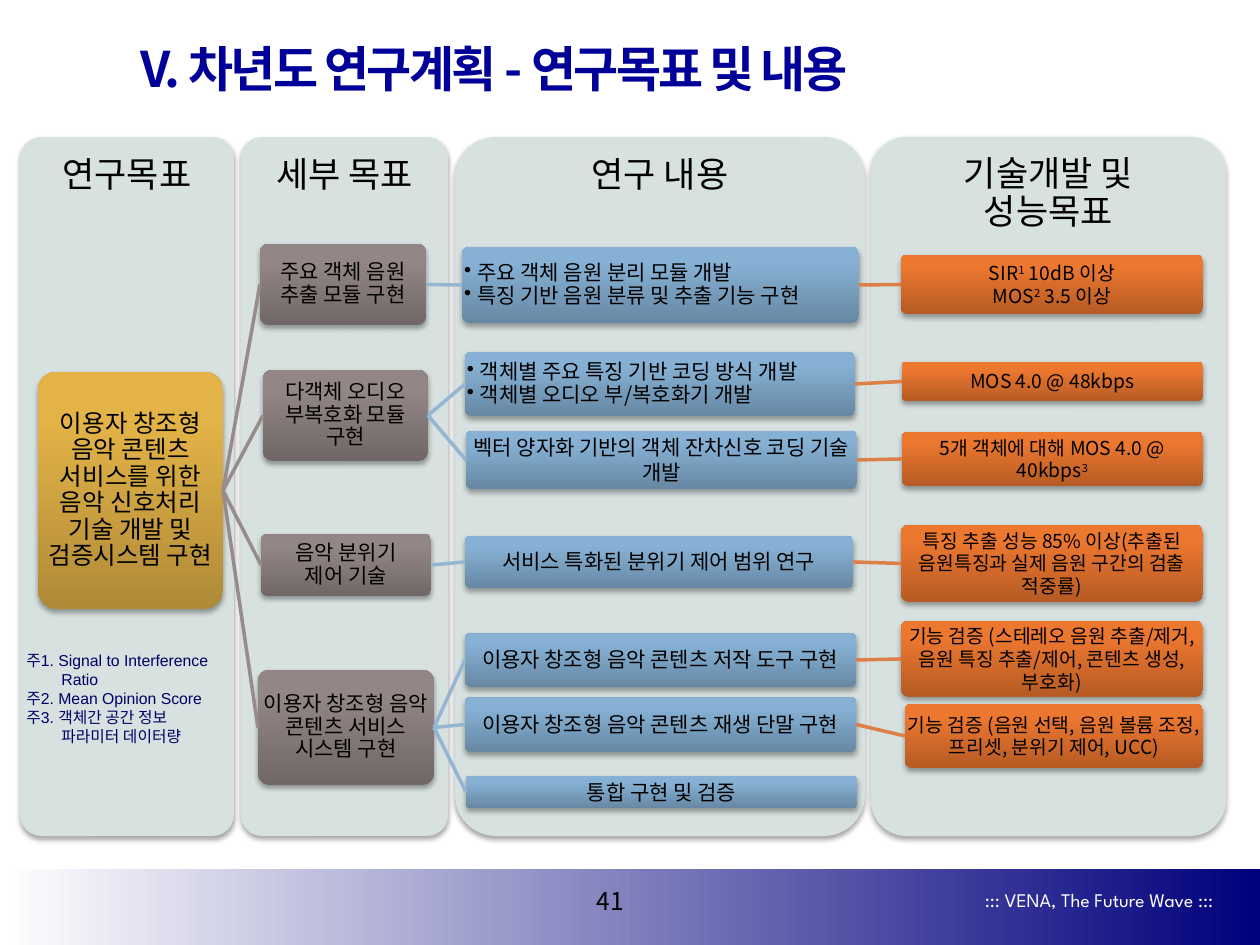
from dataclasses import dataclass

from lxml import etree
from pptx import Presentation
from pptx import util as u
from pptx.dml.color import RGBColor
from pptx.enum import shapes, text
from pptx.oxml import ns

PX = 914400 // 126
ALIGN = text.PP_ALIGN
ANCHOR = text.MSO_ANCHOR


@dataclass(frozen=True)
class TextStyle:
    size: int
    color: str = "000000"
    font: str = "Noto Sans CJK KR"
    align: ALIGN = ALIGN.CENTER
    spacing: object = None
    bold: bool = False
    tracking: int = 0
    hanging: int = 0
    bullet: bool = False


@dataclass(frozen=True)
class Theme:
    east_asian = "Noto Sans CJK KR"
    panel_fill = "D7E1DF"
    footer = ("FFFFFF", "00007C")
    aim_fill = ("AF8A37", "E3B347")
    goal_fill = ("716767", "938686")
    work_fill = ("6788A4", "86B1D4")
    target_fill = ("B65B24", "EC772F")
    goal_line = "968C8C"
    work_line = "94B6D2"
    target_line = "DD8047"
    title = TextStyle(28, "000099", align=ALIGN.LEFT, bold=True, tracking=-150)
    heading = TextStyle(20, font="Arial", spacing=0.9)
    aim = TextStyle(14, font="Arial", spacing=0.9)
    goal = TextStyle(12, spacing=0.9)
    goal_latin = TextStyle(12, font="Arial", spacing=0.9)
    work = TextStyle(12, spacing=u.Pt(14))
    work_list = TextStyle(12, align=ALIGN.JUSTIFY, spacing=0.9, hanging=13, bullet=True)
    target = TextStyle(11, spacing=u.Pt(13))
    note = TextStyle(9, "000066", "Arial", ALIGN.LEFT, hanging=35)
    page = TextStyle(14)
    slogan = TextStyle(11, "FFFFFF", "League Spartan", ALIGN.RIGHT)


class PlanSlide:
    def __init__(self, deck, theme):
        self.theme = theme
        self.slide = deck.slides.add_slide(deck.slide_layouts[5])

    def fill_text(self, frame, paragraphs, style):
        for index, content in enumerate(paragraphs):
            paragraph = frame.paragraphs[0] if index == 0 else frame.add_paragraph()
            self.style_paragraph(paragraph, style)
            for part_no, part in enumerate(content.split("^")):
                for line_no, line in enumerate(part.split("\n")):
                    if line_no:
                        paragraph.add_line_break()
                    if line:
                        run = paragraph.add_run()
                        run.text = line
                        if part_no % 2:
                            run._r.get_or_add_rPr().set("baseline", "30000")

    def style_paragraph(self, paragraph, style):
        properties = paragraph._p.get_or_add_pPr()
        if style.hanging:
            properties.set("marL", str(style.hanging * PX))
            properties.set("indent", str(-style.hanging * PX))
        if style.bullet:
            etree.SubElement(properties, ns.qn("a:buChar"), char="•")
        paragraph.alignment = style.align
        if style.spacing:
            paragraph.line_spacing = style.spacing
        font = paragraph.font
        font.size = u.Pt(style.size)
        font.bold = style.bold
        font.name = style.font
        font.color.rgb = RGBColor.from_string(style.color)
        defaults = properties.find(ns.qn("a:defRPr"))
        etree.SubElement(defaults, ns.qn("a:ea"), typeface=self.theme.east_asian)
        if style.tracking:
            defaults.set("spc", str(style.tracking))

    def title(self, box, content):
        heading = self.slide.shapes.title
        heading.left, heading.top, heading.width, heading.height = (v * PX for v in box)
        frame = heading.text_frame
        frame.auto_size = text.MSO_AUTO_SIZE.NONE
        frame.vertical_anchor = ANCHOR.MIDDLE
        self.fill_text(frame, [content], self.theme.title)

    def label(self, box, paragraphs, style, anchor=ANCHOR.MIDDLE, wrap=True):
        frame = self.slide.shapes.add_textbox(*(v * PX for v in box)).text_frame
        frame.word_wrap = wrap
        frame.vertical_anchor = anchor
        self.fill_text(frame, paragraphs, style)

    def block(self, kind, box):
        shape = self.slide.shapes.add_shape(kind, *(v * PX for v in box))
        shape.shadow.inherit = False
        shape.line.fill.background()
        return shape

    def gradient(self, shape, colors, angle, end):
        shape.fill.gradient()
        shape.fill.gradient_angle = angle
        for stop, color, position in zip(shape.fill.gradient_stops, colors, (0, end)):
            stop.color.rgb = RGBColor.from_string(color)
            stop.position = position

    def rounded(self, box, paragraphs, style, anchor, margin):
        shape = self.block(shapes.MSO_SHAPE.ROUNDED_RECTANGLE, box)
        shape.adjustments[0] = 0.1
        effects = shape._element.spPr.find(ns.qn("a:effectLst"))
        shadow = etree.SubElement(effects, ns.qn("a:outerShdw"), blurRad=str(u.Pt(3.1)),
                                  dist=str(u.Pt(1.8)), dir="5400000", rotWithShape="0")
        black = etree.SubElement(shadow, ns.qn("a:srgbClr"), val="000000")
        etree.SubElement(black, ns.qn("a:alpha"), val="35000")
        frame = shape.text_frame
        frame.word_wrap = True
        frame.vertical_anchor = anchor
        frame.margin_left = frame.margin_right = margin * PX
        frame.margin_top = frame.margin_bottom = margin * PX
        self.fill_text(frame, paragraphs, style)
        return shape

    def panel(self, box, heading):
        corner_inset = round(0.03 * box[2])
        shape = self.rounded(box, [heading], self.theme.heading, ANCHOR.TOP, 20 - corner_inset)
        shape.fill.solid()
        shape.fill.fore_color.rgb = RGBColor.from_string(self.theme.panel_fill)

    def card(self, box, paragraphs, style, colors):
        shape = self.rounded(box, paragraphs, style, ANCHOR.MIDDLE, 0)
        self.gradient(shape, colors, 90, 0.8)
        return shape

    def link(self, source, target, color):
        line = self.slide.shapes.add_connector(shapes.MSO_CONNECTOR.STRAIGHT, 0, 0, 0, 0)
        line.begin_connect(source, 3)
        line.end_connect(target, 1)
        line.line.width = u.Pt(2)
        line.line.color.rgb = RGBColor.from_string(color)
        etree.SubElement(line._element.spPr, ns.qn("a:effectLst"))

    def footer(self, box):
        bar = self.block(shapes.MSO_SHAPE.RECTANGLE, box)
        self.gradient(bar, self.theme.footer, 0, 1)


THEME = Theme()

PANELS = [
    (20, 214, "연구목표"),
    (241, 207, "세부 목표"),
    (455, 410, "연구 내용"),
    (871, 355, "기술개발 및\n성능목표"),
]

PLAN = [
    ((260, 244, 166, 81), "주요 객체 음원 추출 모듈 구현", THEME.goal_latin, [
        ((462, 247, 397, 76), ["주요 객체 음원 분리 모듈 개발", "특징 기반 음원 분류 및 추출 기능 구현"],
         (901, 255, 302, 59), "SIR^1^ 10dB 이상\nMOS^2^ 3.5 이상"),
    ]),
    ((263, 370, 165, 91), "다객체 오디오 부복호화 모듈 구현", THEME.goal, [
        ((465, 352, 390, 64), ["객체별 주요 특징 기반 코딩 방식 개발", "객체별 오디오 부/복호화기 개발"],
         (902, 362, 301, 39), "MOS 4.0 @ 48kbps"),
        ((466, 431, 391, 58), ["벡터 양자화 기반의 객체 잔차신호 코딩 기술 개발"],
         (902, 432, 301, 54), "5개 객체에 대해 MOS 4.0 @ 40kbps^3^"),
    ]),
    ((261, 534, 170, 62), "음악 분위기\n제어 기술", THEME.goal, [
        ((465, 536, 388, 52), ["서비스 특화된 분위기 제어 범위 연구"],
         (901, 525, 302, 77), "특징 추출 성능 85% 이상(추출된 음원특징과 실제 음원 구간의 검출 적중률)"),
    ]),
    ((258, 670, 176, 115), "이용자 창조형 음악 콘텐츠 서비스 시스템 구현", THEME.goal_latin, [
        ((465, 633, 391, 54), ["이용자 창조형 음악 콘텐츠 저작 도구 구현"],
         (901, 621, 302, 76), "기능 검증 (스테레오 음원 추출/제거, 음원 특징 추출/제어, 콘텐츠 생성, 부호화)"),
        ((465, 697, 391, 55), ["이용자 창조형 음악 콘텐츠 재생 단말 구현"],
         (905, 704, 298, 64), "기능 검증 (음원 선택, 음원 볼륨 조정, 프리셋, 분위기 제어, UCC)"),
        ((466, 776, 391, 32), ["통합 구현 및 검증"], None, None),
    ]),
]

NOTES = [
    "주1. Signal to Interference\nRatio",
    "주2. Mean Opinion Score",
    "주3. 객체간 공간 정보\n파라미터 데이터량",
]


def main():
    deck = Presentation()
    deck.slide_width, deck.slide_height = 1260 * PX, 945 * PX
    plan = PlanSlide(deck, THEME)
    plan.footer((0, 869, 1260, 76))
    plan.label((959, 882, 267, 35), ["::: VENA, The Future Wave :::"], THEME.slogan, wrap=False)
    plan.title((128, 29, 984, 78), "V. 차년도 연구계획 - 연구목표 및 내용")
    plan.label((571, 880, 79, 42), ["41"], THEME.page)
    for left, width, heading in PANELS:
        plan.panel((left, 137, width, 699), heading)

    aim = plan.card((38, 372, 185, 237),
                    ["이용자 창조형 음악 콘텐츠 서비스를 위한 음악 신호처리 기술 개발 및 검증시스템 구현"],
                    THEME.aim, THEME.aim_fill)
    for goal_box, goal_text, goal_style, works in PLAN:
        goal = plan.card(goal_box, [goal_text], goal_style, THEME.goal_fill)
        plan.link(aim, goal, THEME.goal_line)
        for work_box, tasks, target_box, target_text in works:
            style = THEME.work_list if len(tasks) > 1 else THEME.work
            work = plan.card(work_box, tasks, style, THEME.work_fill)
            plan.link(goal, work, THEME.work_line)
            if target_box:
                target = plan.card(target_box, [target_text], THEME.target, THEME.target_fill)
                plan.link(work, target, THEME.target_line)

    plan.label((14, 645, 244, 125), NOTES, THEME.note, ANCHOR.TOP)
    deck.save("out.pptx")


if __name__ == "__main__":
    main()
